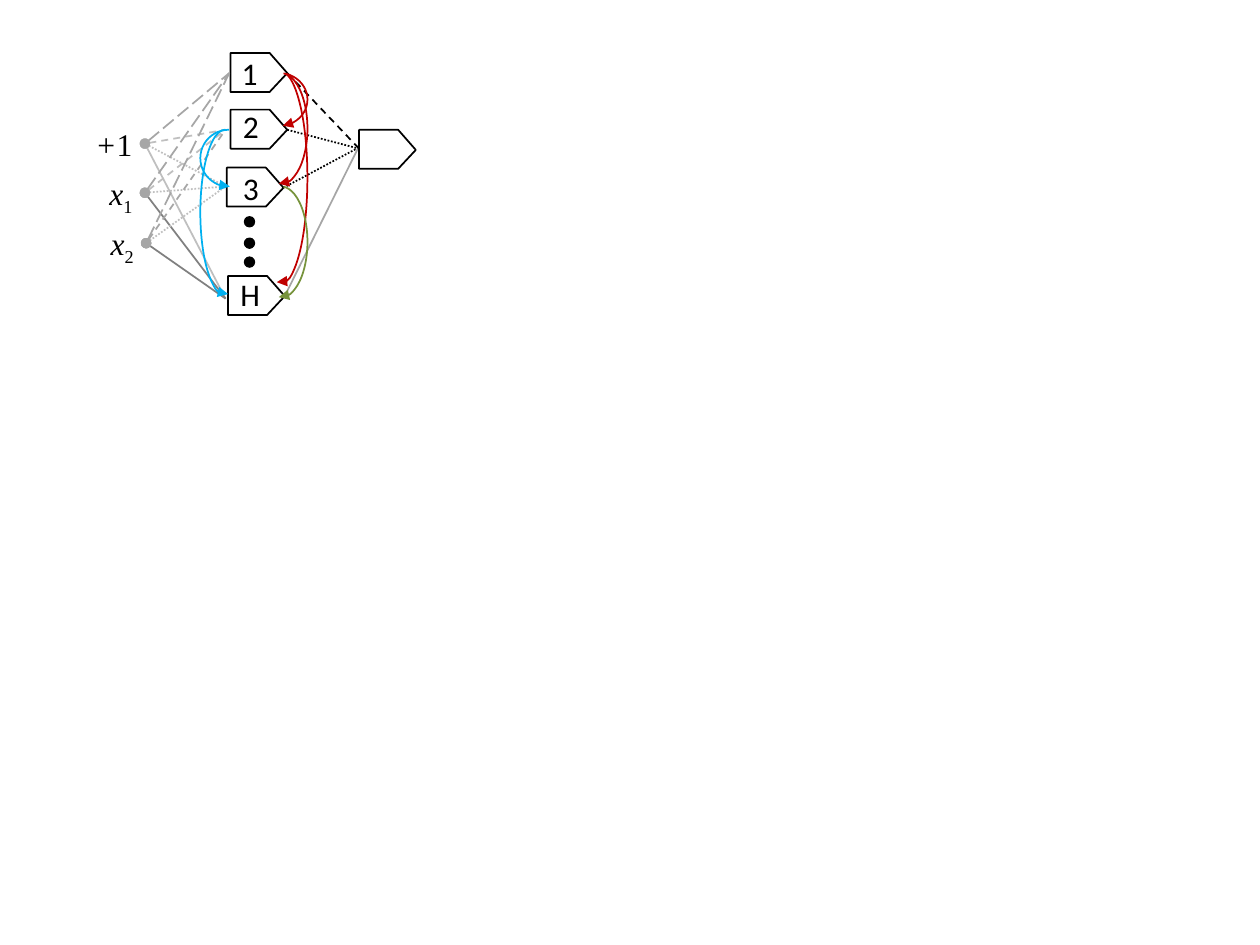
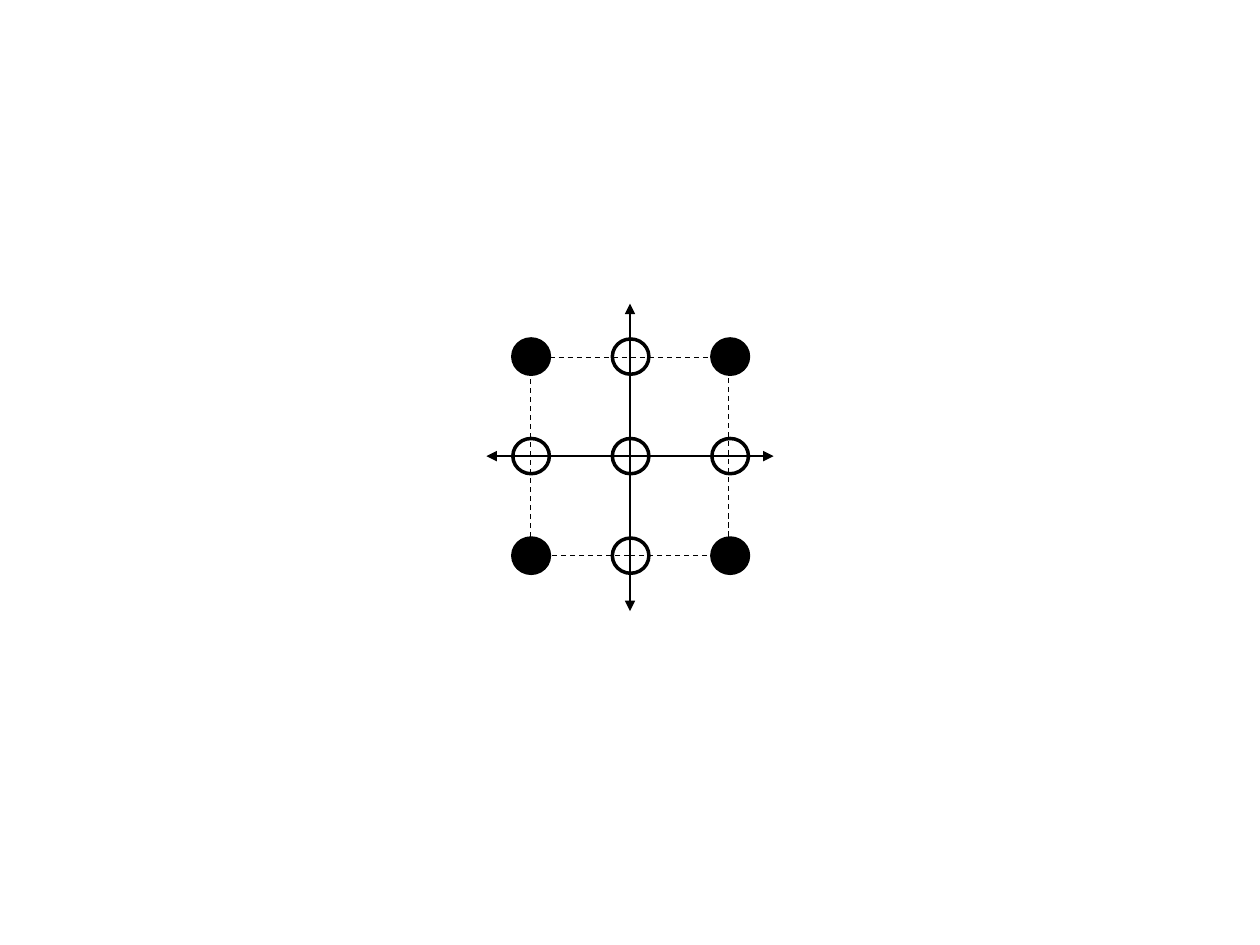
from dataclasses import dataclass
from itertools import product
from typing import NamedTuple

from lxml.etree import SubElement
from pptx import Presentation
from pptx.dml.color import RGBColor
from pptx.enum.dml import MSO_LINE
from pptx.enum.shapes import MSO_CONNECTOR, MSO_SHAPE
from pptx.enum.text import MSO_AUTO_SIZE, PP_ALIGN
from pptx.oxml.ns import qn
from pptx.util import Emu, Pt

# Scale: 100 px to the inch
EMU_PER_PX = 9144

BLACK = RGBColor(0x00, 0x00, 0x00)
DARK_GREY = RGBColor(0x80, 0x80, 0x80)
GREY = RGBColor(0xA6, 0xA6, 0xA6)
LIGHT_GREY = RGBColor(0xBF, 0xBF, 0xBF)
RED = RGBColor(0xC0, 0x00, 0x00)
BLUE = RGBColor(0x00, 0xB0, 0xF0)
GREEN = RGBColor(0x77, 0x93, 0x3C)

SANS = "Calibri"
SERIF = "Times New Roman"
TEXT_HEIGHT = 40


class Point(NamedTuple):
    x: int
    y: int


class Box(NamedTuple):
    left: int
    top: int
    width: int
    height: int


@dataclass(frozen=True)
class Input:
    stem: str
    digit: str
    baseline: int
    label: Box
    dot: Point


@dataclass(frozen=True)
class Neuron:
    name: str
    body: Point
    label: Box
    entry: Point
    output_entry: Point
    input_colors: tuple
    input_dash: MSO_LINE | None
    output_color: RGBColor
    output_dash: MSO_LINE | None


@dataclass(frozen=True)
class Arc:
    box: Box
    color: RGBColor
    start: float
    end: float = 92.28
    mirrored: bool = False


NEURON_WIDTH, NEURON_HEIGHT, NEURON_SHOULDER = 45, 31, 31
OUTPUT_BODY = Point(285, 103)

INPUTS = (
    Input("+", "1", 0, Box(63, 94, 52, TEXT_HEIGHT), Point(115, 114)),
    Input("x", "1", -25000, Box(72, 133, 43, TEXT_HEIGHT), Point(115, 153)),
    Input("x", "2", -25000, Box(73, 173, 43, TEXT_HEIGHT), Point(116, 193)),
)

# Back to front; input_colors follow the order of INPUTS
NEURONS = (
    Neuron("H", Point(181, 219), Box(181, 213, 36, TEXT_HEIGHT), Point(179, 237),
           Point(284, 118), (LIGHT_GREY, DARK_GREY, DARK_GREY), None, GREY, None),
    Neuron("3", Point(180, 133), Box(183, 129, 33, TEXT_HEIGHT), Point(179, 148),
           Point(283, 118), (LIGHT_GREY,) * 3, MSO_LINE.ROUND_DOT, BLACK, MSO_LINE.ROUND_DOT),
    Neuron("2", Point(183, 87), Box(183, 80, 33, TEXT_HEIGHT), Point(179, 103),
           Point(285, 118), (LIGHT_GREY, LIGHT_GREY, GREY), MSO_LINE.DASH,
           BLACK, MSO_LINE.ROUND_DOT),
    Neuron("1", Point(183, 42), Box(182, 38, 33, TEXT_HEIGHT), Point(182, 58),
           Point(285, 118), (GREY,) * 3, MSO_LINE.LONG_DASH, BLACK, MSO_LINE.DASH),
)

ARCS = (
    Arc(Box(199, 58, 45, 42), RED, 286.64, 82.09),
    Arc(Box(202, 58, 42, 88), RED, 272.66),
    Arc(Box(202, 57, 42, 168), RED, 272.66),
    Arc(Box(159, 103, 45, 45), BLUE, 269.78, mirrored=True),
    Arc(Box(159, 103, 39, 131), BLUE, 269.78, mirrored=True),
    Arc(Box(202, 148, 42, 88), GREEN, 272.66),
)

ELLIPSIS_TOPS = (172, 189, 204)

GRID_CENTER = Point(500, 362)
GRID_PITCH = 79
RING_WIDTH, RING_HEIGHT = 29, 28


def px(length: int) -> Emu:
    return Emu(length * EMU_PER_PX)


# Shared drawing functions
def style_line(shape, color: RGBColor, width: float = 1, dash=None, head=None, tail=None) -> None:
    shape.line.color.rgb = color
    shape.line.width = Pt(width)
    if dash is not None:
        shape.line.dash_style = dash
    stroke = shape.line._get_or_add_ln()
    for tag, kind in (("a:headEnd", head), ("a:tailEnd", tail)):
        if kind:
            SubElement(stroke, qn(tag)).set("type", kind)


def add_line(page, start: Point, end: Point, color: RGBColor, **style) -> None:
    line = page.shapes.add_connector(MSO_CONNECTOR.STRAIGHT, *map(px, (*start, *end)))
    style_line(line, color, **style)
    SubElement(line._element.spPr, qn("a:effectLst"))


def add_outline(page, kind: MSO_SHAPE, box: Box, color: RGBColor = BLACK, fill=None, **style):
    shape = page.shapes.add_shape(kind, *map(px, box))
    if fill is None:
        shape.fill.background()
    else:
        shape.fill.solid()
        shape.fill.fore_color.rgb = fill
    style_line(shape, color, **style)
    shape.shadow.inherit = False
    return shape


def add_text(page, text: str, *, box: Box, font: str, align=PP_ALIGN.LEFT,
             italic: bool = False, suffix: str = "", baseline: int = 0) -> None:
    frame = page.shapes.add_textbox(*map(px, box)).text_frame
    frame.word_wrap = False
    frame.auto_size = MSO_AUTO_SIZE.SHAPE_TO_FIT_TEXT
    para = frame.paragraphs[0]
    para.alignment = align
    for part, slanted, shift in ((text, italic, 0), (suffix, False, baseline)):
        if not part:
            continue
        span = para.add_run()
        span.text = part
        span.font.name = font
        span.font.size = Pt(18)
        span.font.italic = slanted
        span.font.color.rgb = BLACK
        if shift:
            span._r.get_or_add_rPr().set("baseline", str(shift))


def add_neuron_body(page, corner: Point) -> None:
    left, top = corner
    shoulder, bottom = left + NEURON_SHOULDER, top + NEURON_HEIGHT
    tip = neuron_tip(corner)
    points = ((shoulder, top), tip, (shoulder, bottom), (left, bottom))
    builder = page.shapes.build_freeform(px(left), px(top))
    builder.add_line_segments([(px(x), px(y)) for x, y in points], close=True)
    body = builder.convert_to_shape()
    body.fill.background()
    style_line(body, BLACK)
    body.shadow.inherit = False


def neuron_tip(corner: Point) -> Point:
    return Point(corner.x + NEURON_WIDTH, corner.y + (NEURON_HEIGHT + 1) // 2)


def add_arc(page, arc: Arc) -> None:
    shape = add_outline(page, MSO_SHAPE.ARC, arc.box, arc.color, tail="triangle")
    # Arc angles are stored as 1/60000 of a degree, adjustments as 1/100000
    for index, degrees in enumerate((arc.start, arc.end)):
        shape.adjustments[index] = degrees * 0.6
    if arc.mirrored:
        shape._element.spPr.find(qn("a:xfrm")).set("flipH", "1")


# Slide 1: network with cascaded hidden neurons
def draw_network(page) -> None:
    for source in INPUTS:
        add_text(page, source.stem, box=source.label, font=SERIF, align=PP_ALIGN.RIGHT,
                 italic=True, suffix=source.digit, baseline=source.baseline)
    for neuron in NEURONS:
        add_neuron_body(page, neuron.body)
        for source, color in zip(INPUTS, neuron.input_colors):
            add_line(page, source.dot, neuron.entry, color, dash=neuron.input_dash, head="oval")
        add_line(page, neuron_tip(neuron.body), neuron.output_entry,
                 neuron.output_color, dash=neuron.output_dash)
        add_text(page, neuron.name, box=neuron.label, font=SANS)
    add_neuron_body(page, OUTPUT_BODY)
    for top in ELLIPSIS_TOPS:
        add_outline(page, MSO_SHAPE.OVAL, Box(194, top, 8, 8), fill=BLACK, width=0.75)
    for arc in ARCS:
        add_arc(page, arc)


# Slide 2: three by three grid of points on two axes
def draw_grid(page) -> None:
    x, y = GRID_CENTER
    for start, end in ((Point(386, y), Point(614, y)), (Point(x, 241), Point(x, 485))):
        add_line(page, start, end, BLACK, width=1.5, head="triangle", tail="triangle")
    side = 2 * GRID_PITCH - 1
    add_outline(page, MSO_SHAPE.RECTANGLE, Box(x - GRID_PITCH, y - GRID_PITCH + 1, side, side),
                width=0.75, dash=MSO_LINE.DASH)
    for column, row in product((-1, 0, 1), repeat=2):
        box = Box(x + column * GRID_PITCH - RING_WIDTH // 2,
                  y + row * GRID_PITCH - RING_HEIGHT // 2, RING_WIDTH, RING_HEIGHT)
        is_corner = column != 0 and row != 0
        add_outline(page, MSO_SHAPE.OVAL, box, fill=BLACK if is_corner else None, width=2)


def main() -> None:
    deck = Presentation()
    deck.slide_width, deck.slide_height = px(1000), px(750)
    for draw in (draw_network, draw_grid):
        draw(deck.slides.add_slide(deck.slide_layouts[6]))
    deck.save("out.pptx")


if __name__ == "__main__":
    main()
